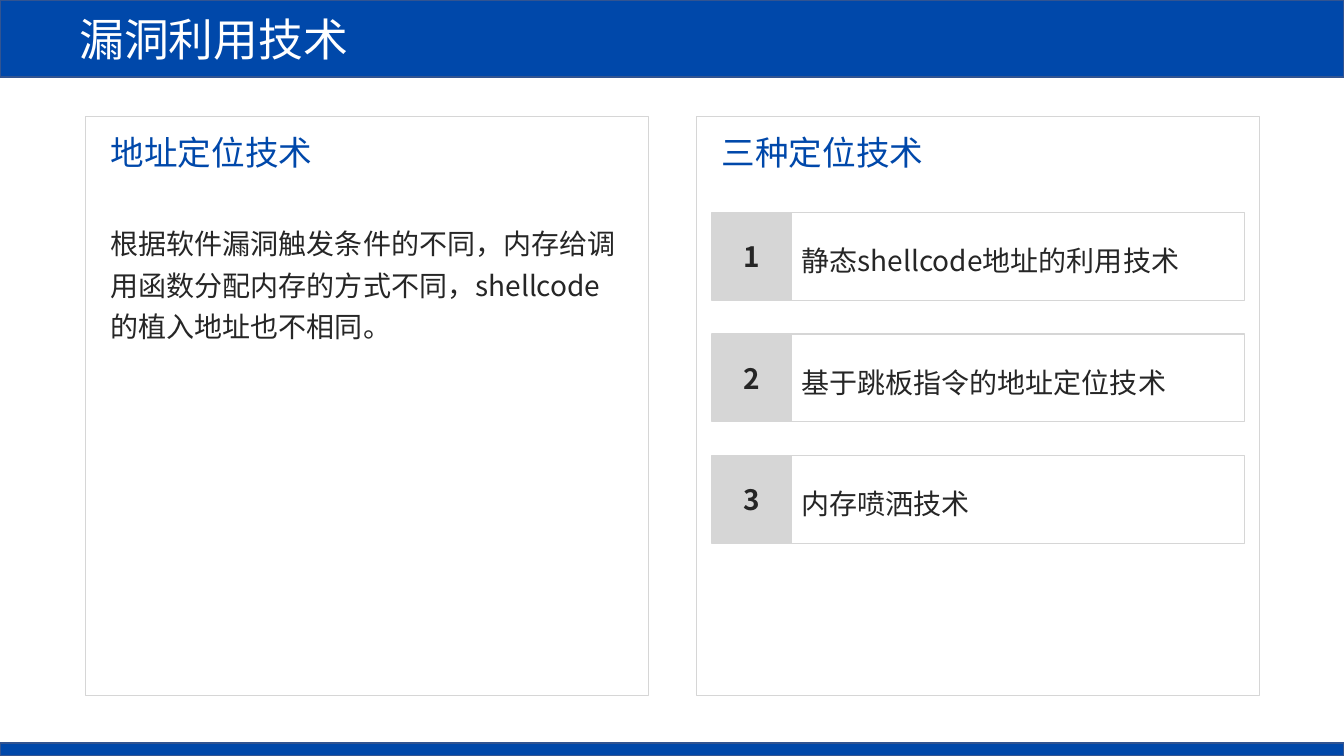
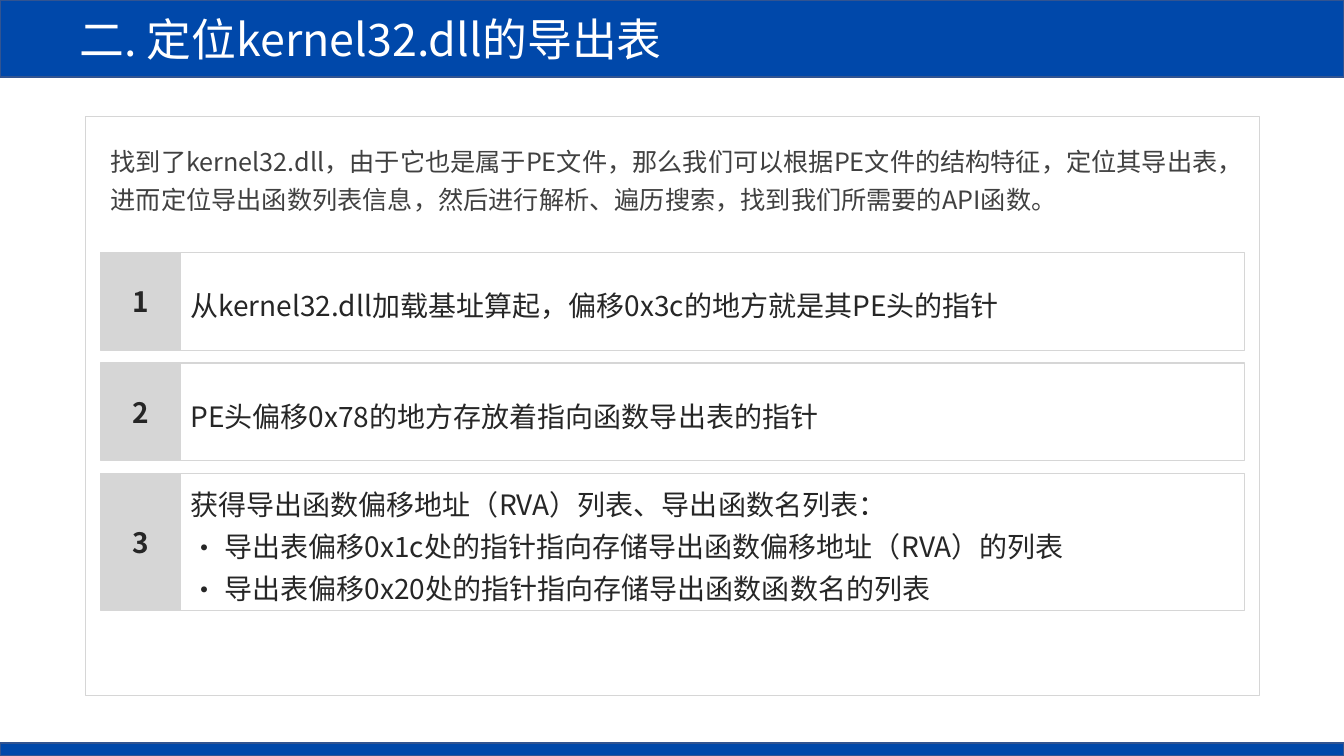
from lxml import etree
from pptx import Presentation
from pptx import util as u
from pptx.dml import color
from pptx.enum import shapes, text
from pptx.oxml import ns

FONT = "Noto Sans CJK SC"
BLUE, EDGE, GREY, INK, SOFT, WHITE = "0048AA", "325491", "D6D6D6", "262626", "404040", "FFFFFF"
SLIDE_W, SLIDE_H = 33.87, 19.05
BAND_H, FOOTER_H = 1.94, 0.33
PANEL_TOP, PANEL_H = 2.94, 14.58
MARGIN, PANEL_W, WIDE_W = 2.15, 14.2, 29.6
PAD = 0.39
NUMBER_W = 2.01
BULLET = "• "
BULLET_INDENT = 0.86


def rgb(hex_code):
    return color.RGBColor.from_string(hex_code)


def place(box):
    return [u.Cm(length) for length in box]


def add_bullet(paragraph):
    props = paragraph._p.get_or_add_pPr()
    indent = u.Cm(BULLET_INDENT)
    props.set("marL", str(indent))
    props.set("indent", str(-indent))
    etree.SubElement(props, ns.qn("a:buFont"), typeface=FONT)
    etree.SubElement(props, ns.qn("a:buChar"), char=BULLET.strip())


def write(frame, lines, size, ink, bold=False, spacing=None, align=text.PP_ALIGN.LEFT):
    for index, line in enumerate(lines):
        paragraph = frame.paragraphs[0] if index == 0 else frame.add_paragraph()
        paragraph.alignment = align
        if spacing:
            paragraph.line_spacing = spacing
        if line.startswith(BULLET):
            add_bullet(paragraph)
        paragraph.text = line.removeprefix(BULLET)
        font = paragraph.font
        font.size, font.bold, font.name = u.Pt(size), bold, FONT
        font.color.rgb = rgb(ink)
        defaults = paragraph._p.pPr.find(ns.qn("a:defRPr"))
        etree.SubElement(defaults, ns.qn("a:ea"), typeface=FONT)


def rectangle(parent, box, fill=None, edge=GREY):
    rect = parent.add_shape(shapes.MSO_SHAPE.RECTANGLE, *place(box))
    rect.shadow.inherit = False
    if fill:
        rect.fill.solid()
        rect.fill.fore_color.rgb = rgb(fill)
    else:
        rect.fill.background()
    rect.line.color.rgb = rgb(edge)
    rect.line.width = u.Pt(1)
    rect.text_frame.vertical_anchor = text.MSO_ANCHOR.MIDDLE
    return rect


def label(slide, box, line, size, ink, wrap=True, spacing=None):
    frame = slide.shapes.add_textbox(*place(box)).text_frame
    frame.word_wrap = wrap
    write(frame, [line], size, ink, spacing=spacing)


def framed_slide(deck, title):
    slide = deck.slides.add_slide(deck.slide_layouts[6])
    band = rectangle(slide.shapes, (0, 0, SLIDE_W, BAND_H), BLUE, EDGE)
    band.text_frame.margin_left = u.Cm(2)
    write(band.text_frame, [title], 32, WHITE)
    rectangle(slide.shapes, (0, SLIDE_H - FOOTER_H, SLIDE_W, FOOTER_H), BLUE, EDGE)
    return slide


def headed_panel(slide, box, heading):
    left, top, _, _ = box
    rectangle(slide.shapes, box)
    label(slide, (left + PAD, top + 0.27, 5.64, 1.28), heading, 24, BLUE, wrap=False)


def numbered_rows(slide, box, entries, gap):
    left, top, width = box
    for number, (height, lines) in enumerate(entries, 1):
        row = slide.shapes.add_group_shape().shapes
        badge = rectangle(row, (left, top, NUMBER_W, height), GREY)
        write(badge.text_frame, [str(number)], 20, INK, bold=True, align=text.PP_ALIGN.CENTER)
        entry = rectangle(row, (left + NUMBER_W, top, width - NUMBER_W, height))
        write(entry.text_frame, lines, 20, INK, spacing=1.25)
        top += height + gap


def techniques_slide(deck):
    slide = framed_slide(deck, "漏洞利用技术")
    inner_w = PANEL_W - 2 * PAD
    headed_panel(slide, (MARGIN, PANEL_TOP, PANEL_W, PANEL_H), "地址定位技术")
    label(slide, (MARGIN + PAD, PANEL_TOP + 2.42, inner_w, 3.35),
          "根据软件漏洞触发条件的不同，内存给调用函数分配内存的方式不同，shellcode的植入地址也不相同。",
          20, INK, spacing=1.25)
    right = MARGIN + WIDE_W - PANEL_W
    headed_panel(slide, (right, PANEL_TOP, PANEL_W, PANEL_H), "三种定位技术")
    techniques = ["静态shellcode地址的利用技术", "基于跳板指令的地址定位技术", "内存喷洒技术"]
    numbered_rows(slide, (right + PAD, PANEL_TOP + 2.42, inner_w),
                  [(2.21, [name]) for name in techniques], 0.85)


def export_table_slide(deck):
    slide = framed_slide(deck, "二. 定位kernel32.dll的导出表")
    left, inner_w = MARGIN + PAD, WIDE_W - 2 * PAD
    rectangle(slide.shapes, (MARGIN, PANEL_TOP, WIDE_W, PANEL_H))
    numbered_rows(slide, (left, PANEL_TOP + 3.43, inner_w), [
        (2.46, ["从kernel32.dll加载基址算起，偏移0x3c的地方就是其PE头的指针"]),
        (2.46, ["PE头偏移0x78的地方存放着指向函数导出表的指针"]),
        (3.45, ["获得导出函数偏移地址（RVA）列表、导出函数名列表：",
                "• 导出表偏移0x1c处的指针指向存储导出函数偏移地址（RVA）的列表",
                "• 导出表偏移0x20处的指针指向存储导出函数函数名的列表"]),
    ], 0.32)
    label(slide, (left, PANEL_TOP + 0.44, inner_w, 2.08),
          "找到了kernel32.dll，由于它也是属于PE文件，那么我们可以根据PE文件的结构特征，"
          "定位其导出表，进而定位导出函数列表信息，然后进行解析、遍历搜索，找到我们所需要的API函数。",
          18, SOFT, spacing=1.25)


def main():
    deck = Presentation()
    deck.slide_width, deck.slide_height = u.Cm(SLIDE_W), u.Cm(SLIDE_H)
    techniques_slide(deck)
    export_table_slide(deck)
    deck.save("out.pptx")


if __name__ == "__main__":
    main()
